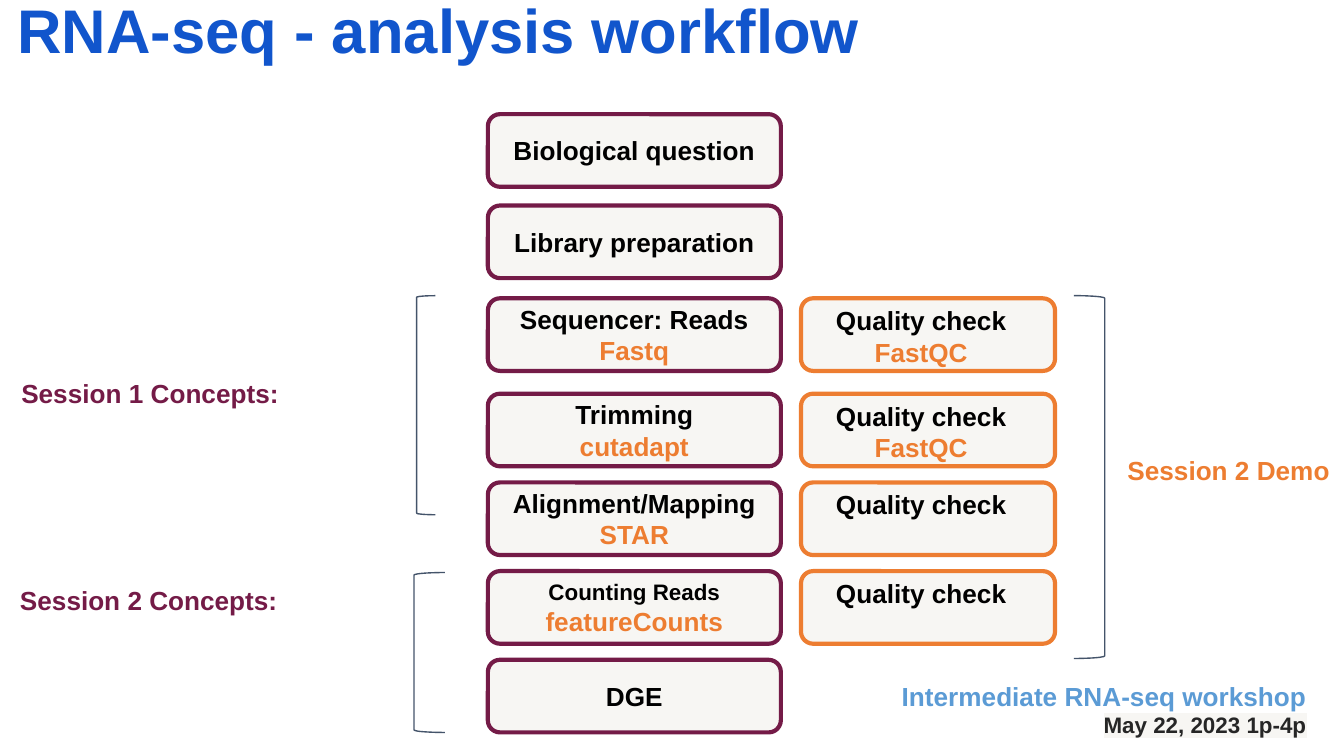
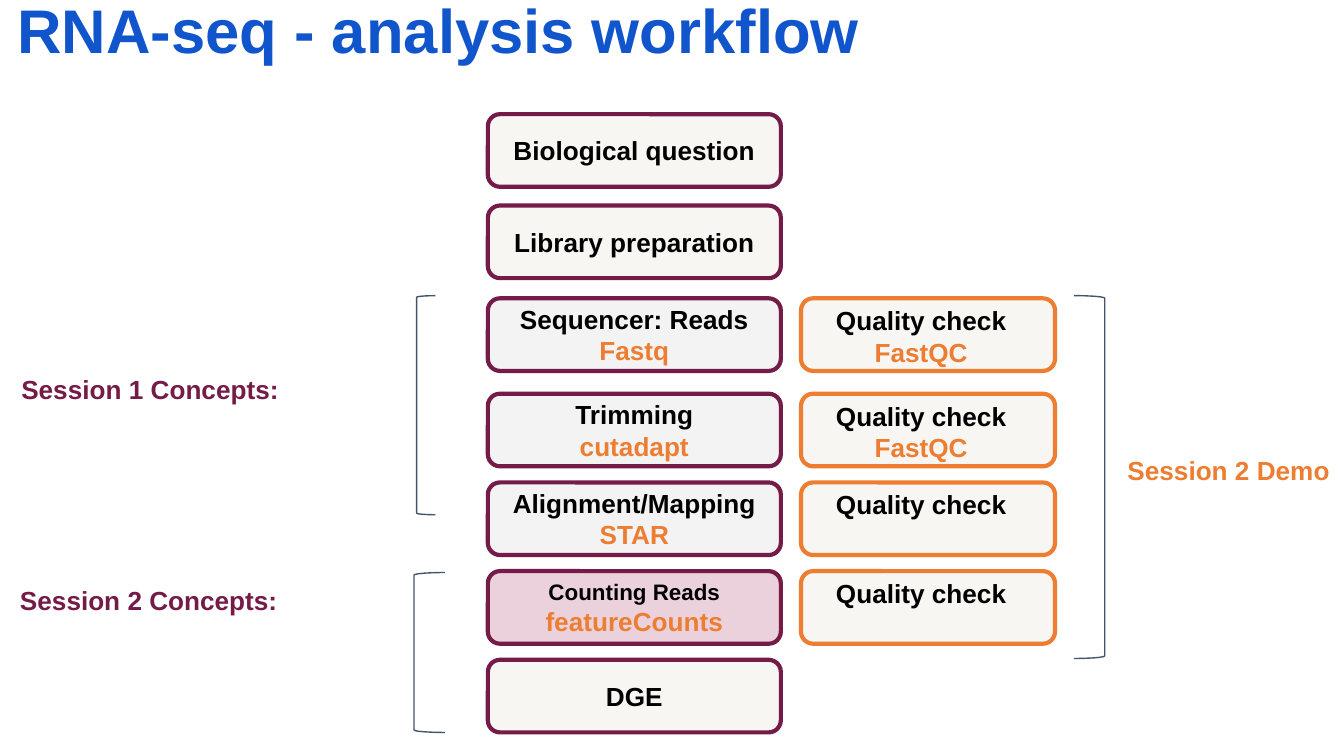
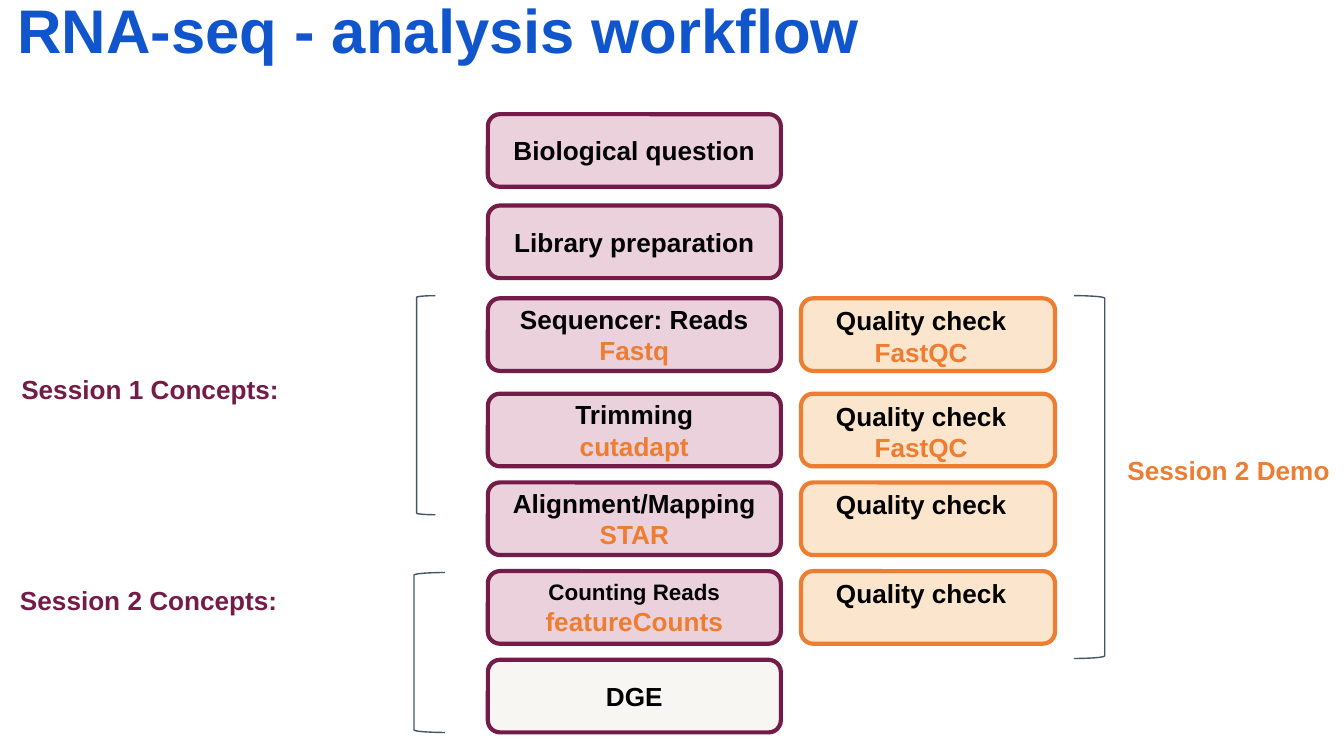
from lxml.etree import SubElement
from pptx import Presentation
from pptx.dml.color import RGBColor
from pptx.enum.shapes import MSO_SHAPE
from pptx.enum.text import MSO_ANCHOR, MSO_AUTO_SIZE, PP_ALIGN
from pptx.oxml.ns import qn
from pptx.util import Inches, Pt

# Content
TITLE = "RNA-seq - analysis workflow"
STEPS = [  # name, tool, size of the name
    ("Biological question", "", 14),
    ("Library preparation", "", 14),
    ("Sequencer: Reads", "Fastq", 14),
    ("Trimming", "cutadapt", 14),
    ("Alignment/Mapping", "STAR", 14),
    ("Counting Reads", "featureCounts", 12),
    ("DGE", "", 14),
]
CHECKS = {2: "FastQC", 3: "FastQC", 4: "", 5: ""}  # step row: tool
EVENT = ("Intermediate RNA-seq workshop", "May 22, 2023 1p-4p")
SLIDES = [  # fill of each step, fill of the checks, top of first label
    (["paper"] * 7, "paper", 2.71),
    (["paper"] * 2 + ["grey"] * 3 + ["pink", "paper"], "paper", 2.68),
    (["pink"] * 6 + ["paper"], "peach", 2.68),
]

# Shared look
HUES = {
    "blue": "1155CC", "sky": "5B9BD5", "wine": "741B47", "orange": "ED7D31",
    "slate": "44546A", "black": "000000", "ink": "262626",
    "paper": "F7F6F3", "grey": "F3F3F3", "pink": "EAD1DC", "peach": "FCE5CD",
}
FONT = "Arial"
WIDE = 10
HIGH = WIDE * 9 / 16
BOX_H = 0.54
STEP_X, STEP_W = 3.63, 2.18
CHECK_X, CHECK_W = 5.96, 1.89
TOPS = [0.85, 1.53, 2.22] + [2.93 + 0.66 * i for i in range(4)]
BRACKETS = [  # left, top, width, height, turn
    (3.1, 2.2, 0.14, 1.63, 180),
    (3.08, 4.26, 0.23, 1.19, 180),
    (7.99, 2.2, 0.23, 2.7, 0),
]


def hue(name):
    return RGBColor.from_string(HUES[name])


def place(*area):
    return [Inches(v) for v in area]


def write(frame, lines, align=PP_ALIGN.LEFT, pad=0.1):
    """Fill a frame with lines of (text, size, colour)."""
    frame.word_wrap = True
    frame.auto_size = MSO_AUTO_SIZE.NONE
    frame.margin_left = frame.margin_right = Inches(pad)
    frame.margin_top = frame.margin_bottom = Inches(pad)
    for i, (text, size, tint) in enumerate(lines):
        par = frame.add_paragraph() if i else frame.paragraphs[0]
        par.text = text
        par.alignment = align
        font = par.font
        font.name, font.size, font.bold = FONT, Pt(size), True
        font.color.rgb = hue(tint)


def label(slide, area, lines, align=PP_ALIGN.LEFT):
    box = slide.shapes.add_textbox(*place(*area))
    write(box.text_frame, lines, align)
    return box.text_frame


def card(slide, area, fill, edge, name, tool, size=14):
    box = slide.shapes.add_shape(MSO_SHAPE.ROUNDED_RECTANGLE, *place(*area))
    box.shadow.inherit = False
    box.fill.solid()
    box.fill.fore_color.rgb = hue(fill)
    box.line.color.rgb = hue(edge)
    box.line.width = Pt(2.25)
    lines = [(name, size, "black")] + ([(tool, 14, "orange")] if tool else [])
    write(box.text_frame, lines, PP_ALIGN.CENTER)
    box.text_frame.vertical_anchor = MSO_ANCHOR.MIDDLE
    return box.text_frame


def bracket(slide, area, turn):
    mark = slide.shapes.add_shape(MSO_SHAPE.RIGHT_BRACKET, *place(*area))
    mark.rotation = turn
    mark.shadow.inherit = False
    mark.fill.background()
    mark.line.color.rgb = hue("slate")
    mark.line.width = Pt(0.75)


def head(slide):
    title = slide.shapes.title
    title.left, title.top, title.width, title.height = place(0.13, 0, 8.62, 0.81)
    write(title.text_frame, [(TITLE, 33, "blue")], pad=0)
    title.text_frame.vertical_anchor = MSO_ANCHOR.TOP
    title.text_frame.paragraphs[0].line_spacing = 0.9


def event(slide):
    lines = [(EVENT[0], 14, "sky"), (EVENT[1], 12, "ink")]
    frame = label(slide, (6.4, 4.96, 3.42, 0.64), lines, PP_ALIGN.RIGHT)
    props = frame.paragraphs[1].runs[0].font._element
    glow = SubElement(props, qn("a:highlight"))
    SubElement(glow, qn("a:srgbClr"), val=HUES["paper"])


def build(slide, fills, tone, first):
    head(slide)
    # Session labels and brackets
    label(slide, (0.06, first, 3.42, 0.44), [("Session 1 Concepts:", 14, "wine")])
    label(slide, (0.05, 4.25, 3.42, 0.67), [("Session 2 Concepts:", 14, "wine")])
    label(slide, (8.29, 3.28, 1.71, 0.67), [("Session 2 Demo", 14, "orange")])
    for *area, turn in BRACKETS:
        bracket(slide, area, turn)
    # Workflow steps
    for top, fill, step in zip(TOPS, fills, STEPS):
        card(slide, (STEP_X, top, STEP_W, BOX_H), fill, "wine", *step)
    # Quality checks, with the name on the upper line
    for row, tool in CHECKS.items():
        area = (CHECK_X, TOPS[row], CHECK_W, BOX_H)
        frame = card(slide, area, tone, "orange", "Quality check", tool)
        frame.vertical_anchor = MSO_ANCHOR.TOP
        frame.margin_top = frame.margin_bottom = Inches(0.02)
        frame.margin_right = Inches(0.2)


def main():
    deck = Presentation()
    deck.slide_width, deck.slide_height = place(WIDE, HIGH)
    for i, plan in enumerate(SLIDES):
        slide = deck.slides.add_slide(deck.slide_layouts[5])
        build(slide, *plan)
        if i == 0:
            event(slide)
    deck.save("out.pptx")


if __name__ == "__main__":
    main()
